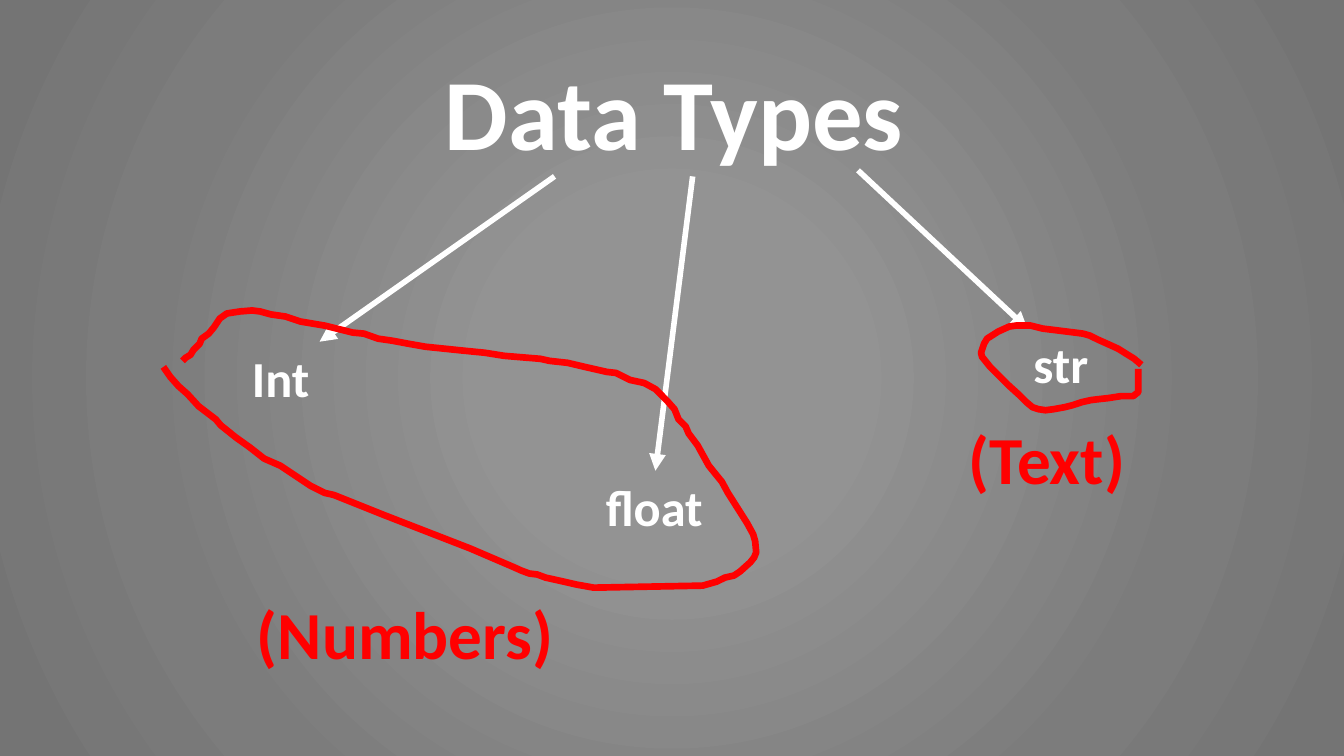
from dataclasses import dataclass

from lxml.etree import SubElement
from pptx import Presentation
from pptx.dml.color import RGBColor
from pptx.enum.shapes import MSO_CONNECTOR
from pptx.enum.text import MSO_ANCHOR, MSO_AUTO_SIZE, PP_ALIGN
from pptx.oxml.ns import qn
from pptx.util import Pt

PX = 9144


@dataclass(frozen=True)
class Theme:
    font: str = "Calibri"
    text: str = "FFFFFF"
    accent: str = "FF0000"
    backdrop: tuple = ((0, "939393"), (23, "939393"), (69, "7C7C7C"), (97, "747474"))
    title_size: int = 72
    type_size: int = 36
    group_size: int = 48
    arrow_width: float = 4
    loop_width: float = 4.75


class SlideBuilder:
    def __init__(self, prs, theme):
        self.theme = theme
        self.s = prs.slides.add_slide(prs.slide_layouts[5])

    def background(self):
        fill = self.s.background.fill
        fill.solid()
        bg = self.s.element.find(".//" + qn("p:bgPr"))
        bg.remove(bg[0])
        grad = bg.makeelement(qn("a:gradFill"), rotWithShape="1")
        bg.insert(0, grad)
        stops = SubElement(grad, qn("a:gsLst"))
        for pos, color in self.theme.backdrop:
            stop = SubElement(stops, qn("a:gs"), pos=str(pos * 1000))
            SubElement(stop, qn("a:srgbClr"), val=color)
        shade = SubElement(grad, qn("a:path"))
        shade.set("path", "circle")
        SubElement(shade, qn("a:fillToRect"), dict.fromkeys("ltrb", "50000"))

    def set_text(self, sp, text, size, color, align, wrap):
        tf = sp.text_frame
        tf.text = text
        tf.word_wrap = wrap
        tf.auto_size = MSO_AUTO_SIZE.SHAPE_TO_FIT_TEXT
        tf.vertical_anchor = MSO_ANCHOR.TOP
        p = tf.paragraphs[0]
        p.alignment = align
        font = p.runs[0].font
        font.name, font.size, font.bold = self.theme.font, Pt(size), True
        font.color.rgb = RGBColor.from_string(color)

    def title(self, text, x, y, w, h):
        sp = self.s.shapes.title
        sp.left, sp.top, sp.width, sp.height = (v * PX for v in (x, y, w, h))
        self.set_text(sp, text, self.theme.title_size, self.theme.text, PP_ALIGN.CENTER, True)

    def label(self, text, x, y, w, h, size, color):
        sp = self.s.shapes.add_textbox(x * PX, y * PX, w * PX, h * PX)
        self.set_text(sp, text, size, color, PP_ALIGN.LEFT, False)

    def stroke(self, sp, color, width):
        sp.line.color.rgb = RGBColor.from_string(color)
        sp.line.width = Pt(width)
        return sp.element.find(".//" + qn("a:ln"))

    def arrow(self, start, end):
        ends = (v * PX for v in (*start, *end))
        sp = self.s.shapes.add_connector(MSO_CONNECTOR.STRAIGHT, *ends)
        ln = self.stroke(sp, self.theme.text, self.theme.arrow_width)
        SubElement(ln, qn("a:tailEnd"), type="triangle")
        SubElement(sp.element.spPr, qn("a:effectLst"))

    def loop(self, points):
        outline = self.s.shapes.build_freeform(*points[0], scale=PX)
        outline.add_line_segments(points[1:], close=False)
        sp = outline.convert_to_shape()
        sp.shadow.inherit = False
        sp.fill.background()
        ln = self.stroke(sp, self.theme.accent, self.theme.loop_width)
        SubElement(ln, qn("a:round"))


NUMBERS_LOOP = [
    (162, 364), (169, 374), (177, 383), (186, 391), (197, 403), (214, 416), (219, 422),
    (234, 434), (248, 444), (262, 455), (278, 462), (293, 472), (308, 482), (322, 489),
    (331, 491), (381, 511), (466, 544), (508, 562), (517, 566), (525, 569), (533, 570),
    (541, 573), (559, 577), (572, 580), (589, 583), (697, 581), (711, 577), (719, 573),
    (728, 571), (734, 567), (744, 558), (748, 553), (750, 548), (749, 537), (747, 530),
    (741, 519), (722, 489), (716, 478), (703, 462), (692, 442), (683, 430), (680, 423),
    (673, 416), (669, 406), (662, 398), (655, 391), (650, 386), (639, 380), (625, 377),
    (611, 370), (602, 369), (580, 364), (563, 360), (545, 358), (536, 356), (500, 353),
    (481, 350), (461, 348), (422, 344), (405, 341), (389, 338), (375, 336), (361, 331),
    (350, 330), (322, 323), (298, 319), (283, 314), (269, 312), (258, 309), (250, 308),
    (238, 309), (225, 311), (218, 316), (212, 325), (207, 331), (200, 336), (198, 341),
    (192, 347), (189, 352), (184, 355), (181, 358),
]

TEXT_LOOP = [
    (1132, 362), (1125, 356), (1117, 351), (1109, 346), (1098, 341), (1089, 337),
    (1081, 333), (1074, 331), (1058, 329), (1034, 326), (1022, 323), (1015, 323),
    (1008, 323), (1001, 324), (990, 329), (979, 336), (976, 341), (973, 350),
    (974, 354), (982, 364), (991, 373), (1000, 382), (1011, 392), (1018, 399),
    (1024, 404), (1030, 406), (1037, 407), (1045, 406), (1056, 404), (1064, 402),
    (1073, 399), (1082, 397), (1090, 396), (1099, 395), (1112, 393), (1124, 393),
    (1129, 389), (1129, 366),
]


def main():
    """Build the data types slide."""
    theme = Theme()
    prs = Presentation()
    prs.slide_width, prs.slide_height = 1333 * PX, 750 * PX
    slide = SlideBuilder(prs, theme)
    slide.background()
    slide.title("Data Types", 110, 44, 1117, 131)
    for text, x, y, w in (("float", 591, 467, 118), ("Int", 240, 339, 78), ("str", 1015, 326, 75)):
        slide.label(text, x, y, w, 71, theme.type_size, theme.text)
    for start, end in (
        ((550, 175), (317, 339)),
        ((687, 175), (650, 467)),
        ((851, 169), (1019, 326)),
    ):
        slide.arrow(start, end)
    for points in (NUMBERS_LOOP, TEXT_LOOP):
        slide.loop(points)
    for text, x, y, w in (("(Numbers)", 245, 583, 317), ("(Text)", 951, 409, 177)):
        slide.label(text, x, y, w, 91, theme.group_size, theme.accent)
    prs.save("out.pptx")


if __name__ == "__main__":
    main()
